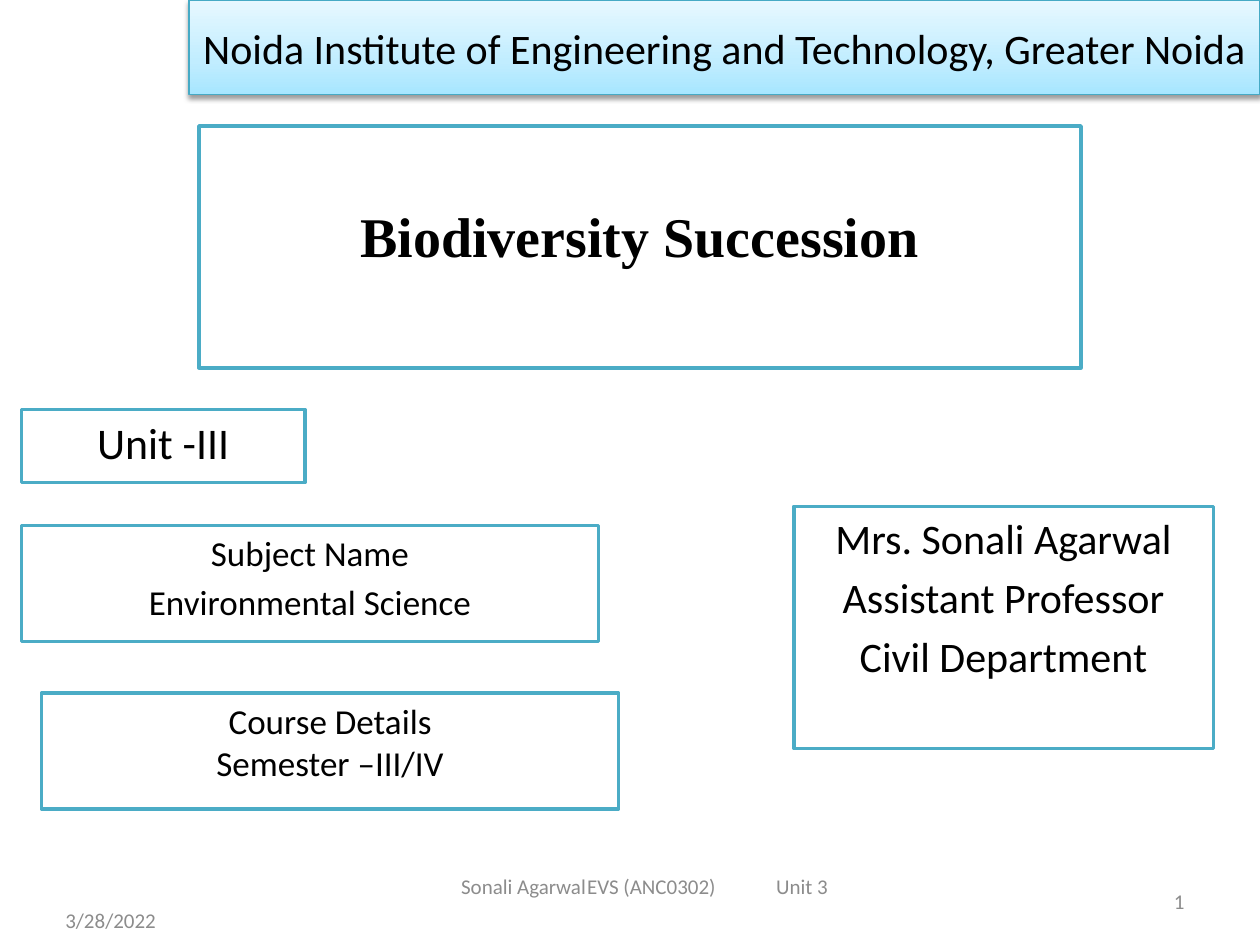
"""Builds the title slide of a lecture on biodiversity succession."""
from copy import deepcopy

from pptx import Presentation
from pptx import oxml, util as u
from pptx.dml import color
from pptx.enum import shapes, text
from pptx.oxml import ns

HUES = {
    "ink": "000000", "grey": "8C8C8C", "paper": "FFFFFF",
    "edge": "4BACC6", "rim": "46AAC5",
    "deep": "A7E6FF", "mid": "C1EDFF", "pale": "E7F8FF",
}
ALIGN = text.PP_ALIGN
SHADOW = (
    f'<a:outerShdw {ns.nsdecls("a")} blurRad="39370" dist="20320" dir="5400000" '
    'rotWithShape="0"><a:srgbClr val="000000"><a:alpha val="38000"/>'
    '</a:srgbClr></a:outerShdw>'
)


def tint(name):
    """Return a named colour."""
    return color.RGBColor.from_string(HUES[name])


def write(shape, lines, size, hue="ink", face="Calibri", bold=False,
          align=ALIGN.CENTER, anchor=text.MSO_ANCHOR.TOP):
    """Fill a shape with evenly spaced paragraphs."""
    frame = shape.text_frame
    frame.word_wrap = True
    frame.vertical_anchor = anchor
    frame.text = "\n".join(lines)
    for i, para in enumerate(frame.paragraphs):
        para.alignment = align
        para.space_before = u.Pt(0.2 * size if i else 0)
        font = para.font
        font.size, font.name, font.bold = u.Pt(size), face, bold
        font.color.rgb = tint(hue)
    return frame


def add_box(slide, spot, edge="edge", width=2):
    """Add a white outlined rectangle."""
    box = slide.shapes.add_shape(
        shapes.MSO_SHAPE.RECTANGLE, *map(u.Inches, spot))
    box.shadow.inherit = False
    box.fill.solid()
    box.fill.fore_color.rgb = tint("paper")
    box.line.color.rgb = tint(edge)
    box.line.width = u.Pt(width)
    return box


def add_banner(slide, spot, title):
    """Add the shaded heading band with its drop shadow."""
    band = add_box(slide, spot, "rim", 0.75)
    band.fill.gradient()
    band.fill.gradient_angle = 90
    props = band._element.spPr
    stops = props.find(f'{ns.qn("a:gradFill")}/{ns.qn("a:gsLst")}')
    stops.insert(1, deepcopy(stops[0]))
    for stop, place, hue in zip(band.fill.gradient_stops, (0, 0.35, 1),
                                ("deep", "mid", "pale")):
        stop.position = place
        stop.color.rgb = tint(hue)
    props.find(ns.qn("a:effectLst")).append(oxml.parse_xml(SHADOW))
    frame = write(band, [title], 24, anchor=text.MSO_ANCHOR.MIDDLE)
    frame.margin_left = frame.margin_right = u.Inches(0.05)


def add_note(slide, spot, words, align=ALIGN.LEFT, inset=0.1, tabs=()):
    """Add a grey footer text, with optional tab stops in inches."""
    note = slide.shapes.add_textbox(*map(u.Inches, spot))
    note.text_frame.text = words
    if tabs:
        marks = "".join(f'<a:tab pos="{u.Inches(t)}" algn="l"/>' for t in tabs)
        props = note.text_frame.paragraphs[0]._p.get_or_add_pPr()
        props.append(oxml.parse_xml(
            f'<a:tabLst {ns.nsdecls("a")}>{marks}</a:tabLst>'))
    frame = write(note, [words], 12, "grey", align=align,
                  anchor=text.MSO_ANCHOR.MIDDLE)
    frame.margin_left = u.Inches(inset)


def main():
    """Build and save the slide."""
    deck = Presentation()
    deck.slide_width, deck.slide_height = u.Inches(10), u.Inches(7.5)
    slide = deck.slides.add_slide(deck.slide_layouts[6])

    add_banner(slide, (1.5, 0, 8.5, 0.75),
               "Noida Institute of Engineering and Technology, Greater Noida")
    topic = write(add_box(slide, (1.58, 1, 7, 1.92)),
                  ["Biodiversity Succession"], 32,
                  face="Times New Roman", bold=True)
    topic.margin_top = u.Inches(0.6)

    for spot, size, lines in (
        ((0.17, 3.25, 2.25, 0.58), 25, ["Unit -III"]),
        ((6.3, 4.02, 3.33, 1.92), 24,
         ["Mrs. Sonali Agarwal", "Assistant Professor", "Civil Department"]),
        ((0.33, 5.5, 4.58, 0.92), 20, ["Course Details\vSemester –III/IV"]),
        ((0.17, 4.17, 4.58, 0.92), 20,
         ["Subject Name", "Environmental Science"]),
    ):
        write(add_box(slide, spot), lines, size)

    add_note(slide, (0.42, 7.1, 2.33, 0.4), "3/28/2022")
    add_note(slide, (2.5, 6.83, 5.5, 0.4),
             "Sonali Agarwal\tEVS (ANC0302)\tUnit 3",
             inset=1.16, tabs=(1.29, 2.76))
    add_note(slide, (7.17, 6.95, 2.33, 0.4), "1", ALIGN.RIGHT)
    deck.save("out.pptx")


if __name__ == "__main__":
    main()
